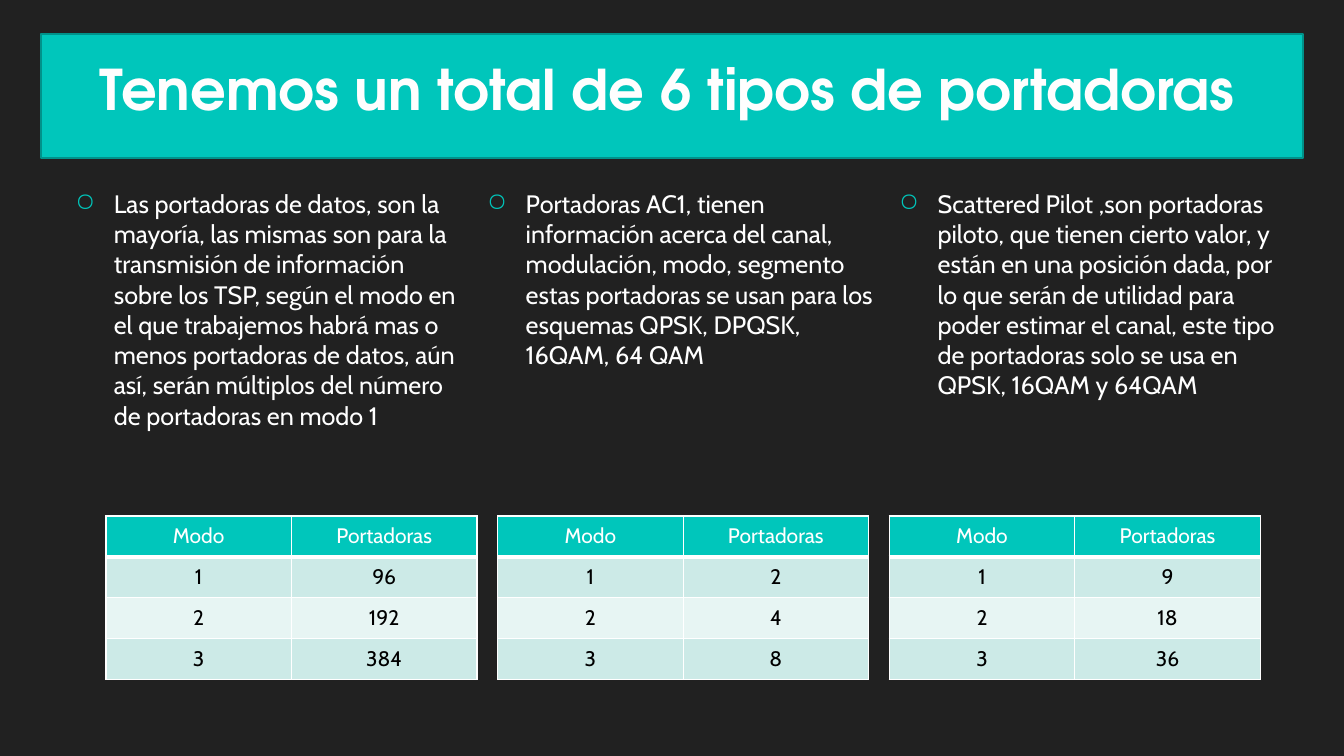
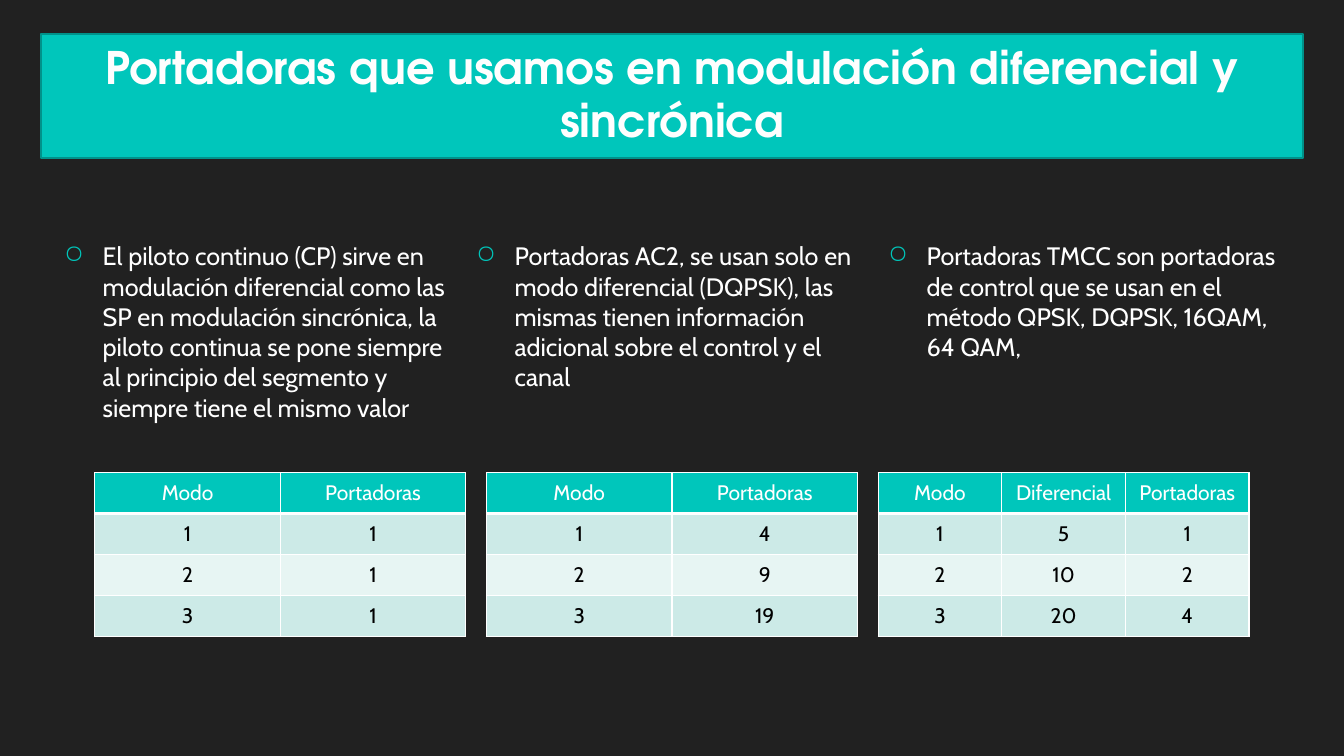
"""Builds two slides about the carrier types of a digital TV signal."""
from lxml import etree
from pptx import Presentation
from pptx.dml.color import RGBColor
from pptx.enum.shapes import MSO_SHAPE
from pptx.enum.text import MSO_ANCHOR, PP_ALIGN
from pptx.oxml.ns import qn
from pptx.util import Cm, Pt

RECTANGLE = MSO_SHAPE.RECTANGLE
TOP, MIDDLE = MSO_ANCHOR.TOP, MSO_ANCHOR.MIDDLE
LEFT, CENTER = PP_ALIGN.LEFT, PP_ALIGN.CENTER

COLORS = {
    "background": "212121",
    "accent": "00C6BB",
    "band_line": "00928A",
    "title": "FEFEFE",
    "light": "FFFFFF",
    "dark": "000000",
    "odd_row": "CCEAE7",
    "even_row": "E7F5F3",
}
TITLE_FONT, BODY_FONT = "TeX Gyre Adventor", "Cabin"
TEXT_WIDTH, TEXT_PITCH = 10.38, 10.38
TABLE_WIDTH, TABLE_PITCH, TABLE_INDENT = 9.35, 9.87, 1.02
ROW_HEIGHT = 1.03
BULLET_INDENT = 0.97

SLIDES = [
    {
        "title": ("Tenemos un total de 6 tipos de portadoras", 40, LEFT, 1.47, 0.51),
        "left": 1.65,
        "text_top": 4.62,
        "text_height": 7.34,
        "table_top": 13,
        "carriers": [
            (
                "Las portadoras de datos, son la mayoría, las mismas son para la "
                "transmisión de información sobre los TSP, según el modo en el que "
                "trabajemos habrá mas o menos portadoras de datos, aún así, serán "
                "múltiplos del número de portadoras en modo 1",
                [("Modo", "Portadoras"), (1, 96), (2, 192), (3, 384)],
            ),
            (
                "Portadoras AC1, tienen información acerca del canal, modulación, "
                "modo, segmento estas portadoras se usan para los esquemas QPSK, "
                "DPQSK, 16QAM, 64 QAM",
                [("Modo", "Portadoras"), (1, 2), (2, 4), (3, 8)],
            ),
            (
                "Scattered Pilot ,son portadoras piloto, que tienen cierto valor, y "
                "están en una posición dada, por lo que serán de utilidad para poder "
                "estimar el canal, este tipo de portadoras solo se usa en QPSK, "
                "16QAM y 64QAM",
                [("Modo", "Portadoras"), (1, 9), (2, 18), (3, 36)],
            ),
        ],
    },
    {
        "title": (
            "Portadoras que usamos en modulación diferencial y sincrónica",
            32, CENTER, 0.25, 0.13,
        ),
        "left": 1.37,
        "text_top": 5.94,
        "text_height": 4.93,
        "table_top": 11.91,
        "carriers": [
            (
                "El piloto continuo (CP) sirve en modulación diferencial como las SP "
                "en modulación sincrónica, la piloto continua se pone siempre al "
                "principio del segmento y siempre tiene el mismo valor",
                [("Modo", "Portadoras"), (1, 1), (2, 1), (3, 1)],
            ),
            (
                "Portadoras AC2, se usan solo en modo diferencial (DQPSK), las mismas "
                "tienen información adicional sobre el control y el canal",
                [("Modo", "Portadoras"), (1, 4), (2, 9), (3, 19)],
            ),
            (
                "Portadoras TMCC son portadoras de control que se usan en el método "
                "QPSK, DQPSK, 16QAM, 64 QAM,",
                [("Modo", "Diferencial", "Portadoras"),
                 (1, 5, 1), (2, 10, 2), (3, 20, 4)],
            ),
        ],
    },
]


def rgb(name):
    return RGBColor.from_string(COLORS[name])


class Deck:
    """Holds the presentation, its style and the current slide."""

    def __init__(self):
        self.presentation = Presentation()
        self.presentation.slide_width = Cm(33.87)
        self.presentation.slide_height = Cm(19.05)
        self.slide = None

    def add_slide(self):
        self.slide = self.presentation.slides.add_slide(
            self.presentation.slide_layouts[6])
        self.paint(self.slide.background.fill, "background")

    def paint(self, fill, color):
        fill.solid()
        fill.fore_color.rgb = rgb(color)

    def set_text(self, frame, text, font, size, color, alignment, bold=False):
        frame.text = text
        paragraph = frame.paragraphs[0]
        paragraph.alignment = alignment
        style = paragraph.runs[0].font
        style.name, style.size, style.bold = font, Pt(size), bold
        style.color.rgb = rgb(color)
        return paragraph

    def title(self, text, size, alignment, side_margin, top_margin):
        band = self.slide.shapes.add_shape(
            RECTANGLE, Cm(1.04), Cm(0.86), Cm(31.8), Cm(3.12))
        band.shadow.inherit = False
        self.paint(band.fill, "accent")
        band.line.color.rgb = rgb("band_line")
        band.line.width = Pt(1.25)
        frame = band.text_frame
        frame.word_wrap = True
        frame.vertical_anchor = TOP
        frame.margin_left = frame.margin_right = Cm(side_margin)
        frame.margin_top = Cm(top_margin)
        self.set_text(frame, text, TITLE_FONT, size, "title", alignment, bold=True)

    def description(self, text, left, top, height):
        frame = self.slide.shapes.add_textbox(
            Cm(left), Cm(top), Cm(TEXT_WIDTH), Cm(height)).text_frame
        frame.word_wrap = True
        paragraph = self.set_text(frame, text, BODY_FONT, 18, "light", LEFT)
        properties = paragraph._p.get_or_add_pPr()
        properties.set("marL", str(Cm(BULLET_INDENT)))
        properties.set("indent", str(-Cm(BULLET_INDENT)))
        before = etree.SubElement(properties, qn("a:spcBef"))
        etree.SubElement(before, qn("a:spcPct"), val="20000")
        paragraph.space_after = Pt(6)
        bullet_color = etree.SubElement(properties, qn("a:buClr"))
        etree.SubElement(bullet_color, qn("a:srgbClr"), val=COLORS["accent"])
        etree.SubElement(properties, qn("a:buChar"), char="○")

    def borders(self, cell, top, bottom):
        properties = cell._tc.get_or_add_tcPr()
        widths = {"a:lnL": 1, "a:lnR": 1, "a:lnT": top, "a:lnB": bottom}
        for position, (side, width) in enumerate(widths.items()):
            line = etree.Element(qn(side), w=str(Pt(width)))
            fill = etree.SubElement(line, qn("a:solidFill"))
            etree.SubElement(fill, qn("a:srgbClr"), val=COLORS["light"])
            properties.insert(position, line)

    def mode_table(self, rows, left, top):
        columns = len(rows[0])
        table = self.slide.shapes.add_table(
            len(rows), columns, Cm(left), Cm(top),
            Cm(TABLE_WIDTH), Cm(ROW_HEIGHT * len(rows))).table
        for column in table.columns:
            column.width = Cm(TABLE_WIDTH / columns)
        for r, values in enumerate(rows):
            table.rows[r].height = Cm(ROW_HEIGHT)
            fill = "accent" if r == 0 else "odd_row" if r % 2 else "even_row"
            for c, value in enumerate(values):
                cell = table.cell(r, c)
                cell.vertical_anchor = MIDDLE
                self.paint(cell.fill, fill)
                self.borders(cell, 3 if r == 1 else 1, 3 if r == 0 else 1)
                self.set_text(cell.text_frame, str(value), BODY_FONT, 15,
                              "dark" if r else "light", CENTER)


def main():
    deck = Deck()
    for content in SLIDES:
        deck.add_slide()
        deck.title(*content["title"])
        left = content["left"]
        for i, (text, rows) in enumerate(content["carriers"]):
            deck.description(text, left + i * TEXT_PITCH,
                             content["text_top"], content["text_height"])
            deck.mode_table(rows, left + TABLE_INDENT + i * TABLE_PITCH,
                            content["table_top"])
    deck.presentation.save("out.pptx")


if __name__ == "__main__":
    main()
